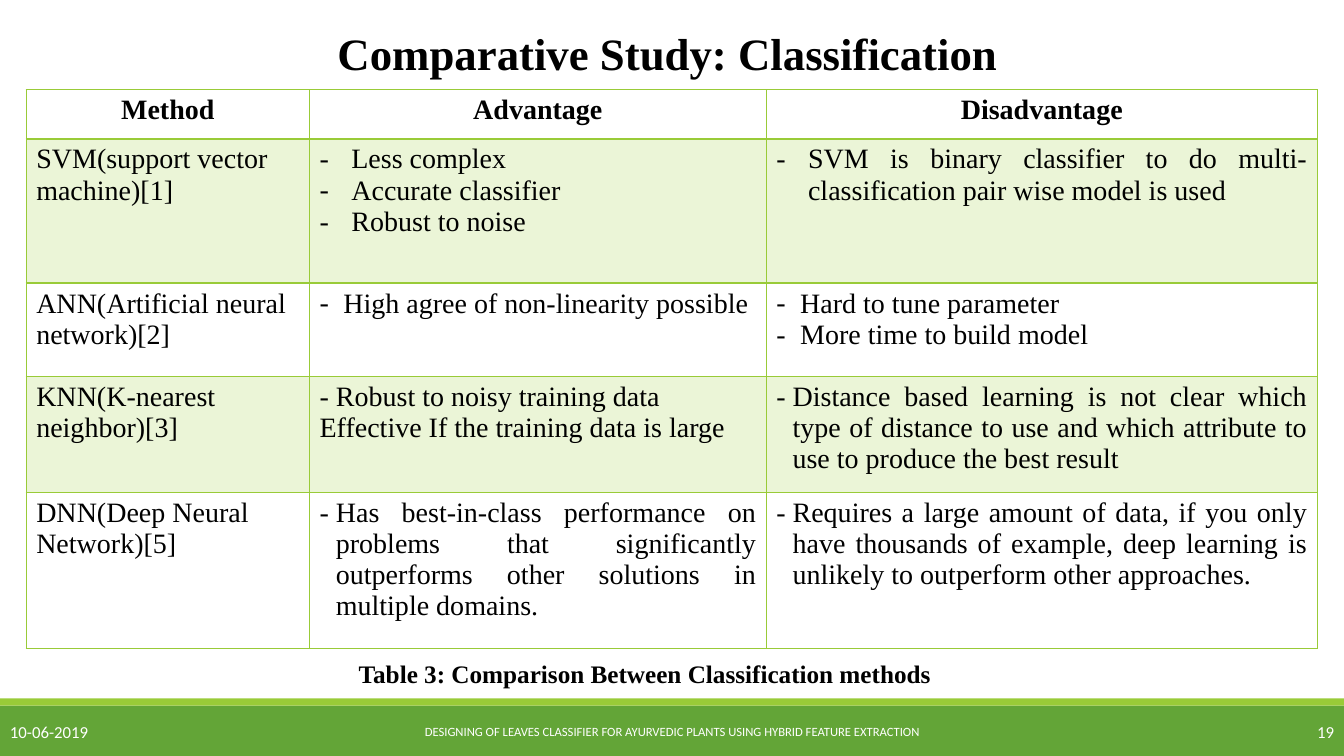
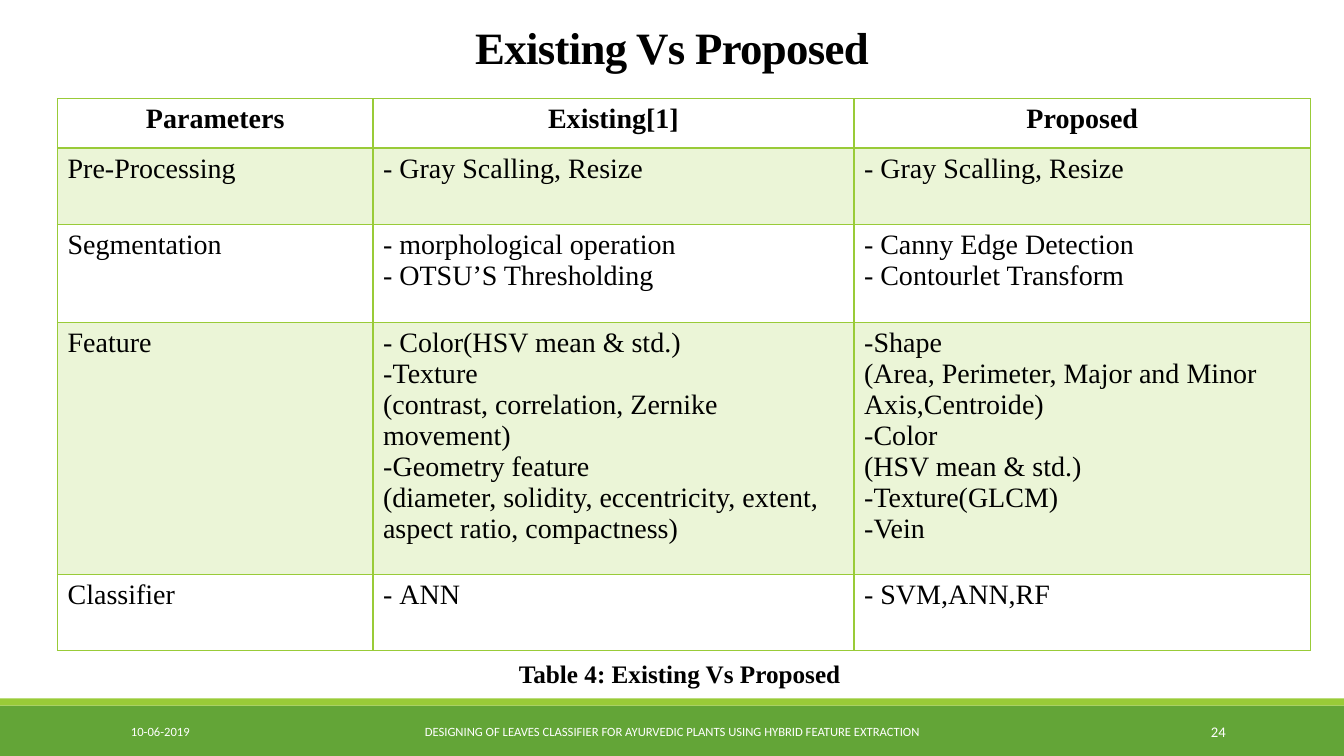
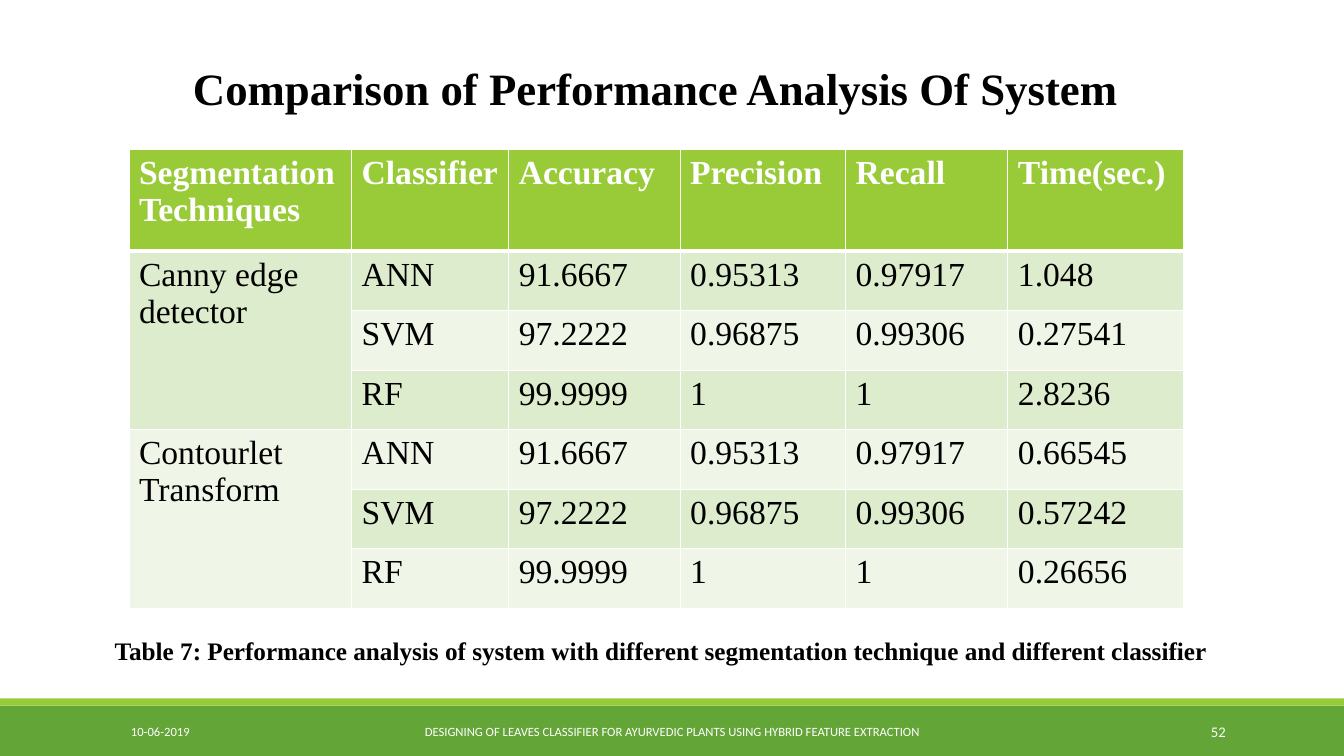
from dataclasses import dataclass

from lxml.etree import SubElement
from pptx import Presentation
from pptx.dml.color import RGBColor
from pptx.enum.shapes import MSO_SHAPE
from pptx.enum.text import MSO_ANCHOR, MSO_AUTO_SIZE, PP_ALIGN
from pptx.oxml.ns import qn
from pptx.util import Cm, Pt

WHITE = RGBColor(0xFF, 0xFF, 0xFF)
BLACK = RGBColor(0x00, 0x00, 0x00)
GREEN = RGBColor(0x63, 0xA5, 0x37)
LIME = RGBColor(0x99, 0xCB, 0x38)
PALE_LIME = RGBColor(0xEB, 0xF5, 0xD7)
SAGE = RGBColor(0xDE, 0xEC, 0xCE)
PALE_SAGE = RGBColor(0xEF, 0xF6, 0xE8)

SERIF = "Times New Roman"
SANS = "Calibri"
SLIDE_WIDTH = 33.87
SLIDE_HEIGHT = 19.05
PROJECT = "DESIGNING OF LEAVES CLASSIFIER FOR AYURVEDIC PLANTS USING HYBRID FEATURE EXTRACTION"

TIGHT, NORMAL, LOOSE, WIDE = 0.24, 0.41, 0.6, 0.8


@dataclass
class Dash:
    text: str
    gap: float = NORMAL


def dashes(gap, *texts):
    return [Dash(text, gap) for text in texts]


def set_dash(paragraph, gap):
    properties = paragraph._p.get_or_add_pPr()
    properties.set("marL", str(Cm(gap)))
    properties.set("indent", str(-Cm(gap)))
    SubElement(properties, qn("a:buFont")).set("typeface", SERIF)
    SubElement(properties, qn("a:buChar")).set("char", "-")


def write(frame, content, size=20, font=SERIF, color=BLACK, bold=False,
          align=PP_ALIGN.LEFT, line_spacing=None, tracking=None):
    lines = content if isinstance(content, list) else [content]
    for index, line in enumerate(lines):
        paragraph = frame.add_paragraph() if index else frame.paragraphs[0]
        paragraph.alignment = align
        if line_spacing:
            paragraph.line_spacing = line_spacing
        if isinstance(line, Dash):
            set_dash(paragraph, line.gap)
        run = paragraph.add_run()
        run.text = line.text if isinstance(line, Dash) else line
        run.font.size = Pt(size)
        run.font.name = font
        run.font.bold = bold
        run.font.color.rgb = color
        if tracking:
            run._r.get_or_add_rPr().set("spc", str(int(tracking * 100)))


def set_borders(cell, color, top, bottom):
    properties = cell._tc.get_or_add_tcPr()
    for side, width in (("L", 1), ("R", 1), ("T", top), ("B", bottom)):
        border = SubElement(properties, qn(f"a:ln{side}"), w=str(Pt(width)))
        fill = SubElement(border, qn("a:solidFill"))
        SubElement(fill, qn("a:srgbClr"), val=str(color))


@dataclass
class TableStyle:
    header_fill: RGBColor
    header_color: RGBColor
    header_align: PP_ALIGN
    bands: tuple
    border: RGBColor
    rule: float
    size: float


OUTLINED = TableStyle(WHITE, BLACK, PP_ALIGN.CENTER, (PALE_LIME, WHITE), LIME, 2, 20)
FILLED = TableStyle(LIME, WHITE, PP_ALIGN.LEFT, (SAGE, PALE_SAGE), WHITE, 3, 24)


class Deck:
    def __init__(self):
        self.presentation = Presentation()
        self.presentation.slide_width = Cm(SLIDE_WIDTH)
        self.presentation.slide_height = Cm(SLIDE_HEIGHT)
        self.slide = None

    def start_slide(self, title, left, top, width, height,
                    anchor=MSO_ANCHOR.TOP, **text_format):
        self.slide = self.presentation.slides.add_slide(self.presentation.slide_layouts[5])
        self.band(17.78, 1.27, GREEN)
        self.band(17.6, 0.18, LIME)
        heading = self.slide.shapes.title
        heading.left, heading.top = Cm(left), Cm(top)
        heading.width, heading.height = Cm(width), Cm(height)
        heading.text_frame.auto_size = MSO_AUTO_SIZE.NONE
        heading.text_frame.vertical_anchor = anchor
        write(heading.text_frame, title, size=32, bold=True,
              align=PP_ALIGN.CENTER, **text_format)

    def band(self, top, height, color):
        band = self.slide.shapes.add_shape(
            MSO_SHAPE.RECTANGLE, 0, Cm(top), Cm(SLIDE_WIDTH), Cm(height))
        band.shadow.inherit = False
        band.fill.solid()
        band.fill.fore_color.rgb = color
        band.line.fill.background()

    def text(self, content, left, top, width, anchor=MSO_ANCHOR.TOP, **text_format):
        box = self.slide.shapes.add_textbox(Cm(left), Cm(top), Cm(width), Cm(1.02))
        box.text_frame.word_wrap = True
        box.text_frame.vertical_anchor = anchor
        write(box.text_frame, content, **text_format)

    def caption(self, content, left, top, width, align=PP_ALIGN.LEFT):
        self.text(content, left, top, width, size=18, bold=True, align=align)

    def footer(self, number, date_left=3.05, number_right=31.14,
               date_size=9, number_size=10.5):
        parts = (
            ("10-06-2019", date_left, 6.86, date_size, PP_ALIGN.LEFT),
            (PROJECT, 10.24, 13.39, 9, PP_ALIGN.CENTER),
            (number, number_right - 3.63, 3.63, number_size, PP_ALIGN.RIGHT),
        )
        for content, left, width, size, align in parts:
            self.text(content, left, 17.93, width, anchor=MSO_ANCHOR.MIDDLE,
                      size=size, font=SANS, color=WHITE, align=align)

    def table(self, rows, left, top, widths, heights, style,
              body_align=PP_ALIGN.LEFT, merged_rows=()):
        table = self.slide.shapes.add_table(
            len(rows), len(widths), Cm(left), Cm(top),
            Cm(sum(widths)), Cm(sum(heights))).table
        table.first_row = table.horz_banding = False
        for column, width in zip(table.columns, widths):
            column.width = Cm(width)
        for row, height in zip(table.rows, heights):
            row.height = Cm(height)
        for r, row in enumerate(rows):
            for c, content in enumerate(row):
                cell = table.cell(r, c)
                set_borders(cell, style.border,
                            top=style.rule if r == 1 else 1,
                            bottom=style.rule if r == 0 else 1)
                cell.fill.solid()
                cell.fill.fore_color.rgb = style.bands[(r - 1) % 2] if r else style.header_fill
                if not content:
                    continue
                if r == 0:
                    write(cell.text_frame, content, size=style.size, bold=True,
                          color=style.header_color, align=style.header_align)
                else:
                    write(cell.text_frame, content, size=style.size,
                          align=body_align if c else PP_ALIGN.LEFT)
        for first, last in merged_rows:
            table.cell(first, 0).merge(table.cell(last, 0))


def classification_slide(deck):
    deck.start_slide("Comparative Study: Classification", 1.65, 0.53, 30.35, 1.63)
    methods = [
        ["Method", "Advantage", "Disadvantage"],
        ["SVM(support vector machine)[1]",
         dashes(WIDE, "Less complex", "Accurate classifier", "Robust to noise"),
         Dash("SVM is binary classifier to do multi-classification pair wise model is used", WIDE)],
        ["ANN(Artificial neural network)[2]",
         Dash("High agree of non-linearity possible", LOOSE),
         dashes(LOOSE, "Hard to tune parameter", "More time to build model")],
        ["KNN(K-nearest neighbor)[3]",
         [Dash("Robust to noisy training data"), "Effective If the training data is large"],
         Dash("Distance based learning is not clear which type of distance to use "
              "and which attribute to use to produce the best result")],
        ["DNN(Deep Neural Network)[5]",
         Dash("Has best-in-class performance on problems that significantly "
              "outperforms other solutions in multiple domains."),
         Dash("Requires a large amount of data, if you only have thousands of example, "
              "deep learning is unlikely to outperform other approaches.")],
    ]
    deck.table(methods, 0.66, 2.26, [7.14, 11.51, 13.89], [1.24, 3.63, 2.36, 2.92, 3.94],
               OUTLINED, body_align=PP_ALIGN.JUSTIFY)
    deck.caption("Table 3: Comparison Between Classification methods", 8.79, 16.46, 15.6)
    deck.footer("19", date_left=0, number_right=SLIDE_WIDTH, date_size=12, number_size=12)


def proposal_slide(deck):
    deck.start_slide("Existing Vs Proposed", 0, 0.41, SLIDE_WIDTH, 1.57,
                     anchor=MSO_ANCHOR.BOTTOM, line_spacing=0.85, tracking=-0.5)
    parameters = [
        ["Parameters", "Existing[1]", "Proposed"],
        ["Pre-Processing", Dash("Gray Scalling, Resize"), Dash("Gray Scalling, Resize")],
        ["Segmentation",
         dashes(NORMAL, "morphological operation", "OTSU’S Thresholding"),
         dashes(NORMAL, "Canny Edge Detection", "Contourlet Transform")],
        ["Feature",
         [Dash("Color(HSV mean & std.)"),
          Dash("Texture", TIGHT),
          "(contrast, correlation, Zernike movement)",
          Dash("Geometry feature", TIGHT),
          "(diameter, solidity, eccentricity, extent, aspect ratio, compactness)"],
         [Dash("Shape", TIGHT),
          "(Area, Perimeter, Major and Minor Axis,Centroide)",
          Dash("Color", TIGHT),
          "(HSV mean & std.)",
          *dashes(TIGHT, "Texture(GLCM)", "Vein")]],
        ["Classifier", Dash("ANN"), Dash("SVM,ANN,RF")],
    ]
    deck.table(parameters, 1.45, 2.49, [7.95, 12.12, 11.51],
               [1.24, 1.93, 2.46, 6.35, 1.93], OUTLINED)
    deck.caption("Table 4: Existing Vs Proposed", 8, 16.46, 18.26, align=PP_ALIGN.CENTER)
    deck.footer("24")


def performance_slide(deck):
    deck.start_slide("Comparison of Performance Analysis Of System", 2.44, 1.4, 28.17, 1.63)
    results = [
        ["Segmentation Techniques", "Classifier", "Accuracy", "Precision", "Recall", "Time(sec.)"],
        ["Canny edge detector", "ANN", "91.6667", "0.95313", "0.97917", "1.048"],
        ["", "SVM", "97.2222", "0.96875", "0.99306", "0.27541"],
        ["", "RF", "99.9999", "1", "1", "2.8236"],
        ["Contourlet Transform", "ANN", "91.6667", "0.95313", "0.97917", "0.66545"],
        ["", "SVM", "97.2222", "0.96875", "0.99306", "0.57242"],
        ["", "RF", "99.9999", "1", "1", "0.26656"],
    ]
    deck.table(results, 3.25, 3.76, [5.61, 3.96, 4.32, 4.17, 4.09, 4.42],
               [2.57] + [1.5] * 6, FILLED, merged_rows=((1, 3), (4, 6)))
    deck.caption("Table 7: Performance analysis of system with different segmentation "
                 "technique and different classifier", 2.64, 15.88, 28.6)
    deck.footer("52")


def main():
    deck = Deck()
    classification_slide(deck)
    proposal_slide(deck)
    performance_slide(deck)
    deck.presentation.save("out.pptx")


if __name__ == "__main__":
    main()
